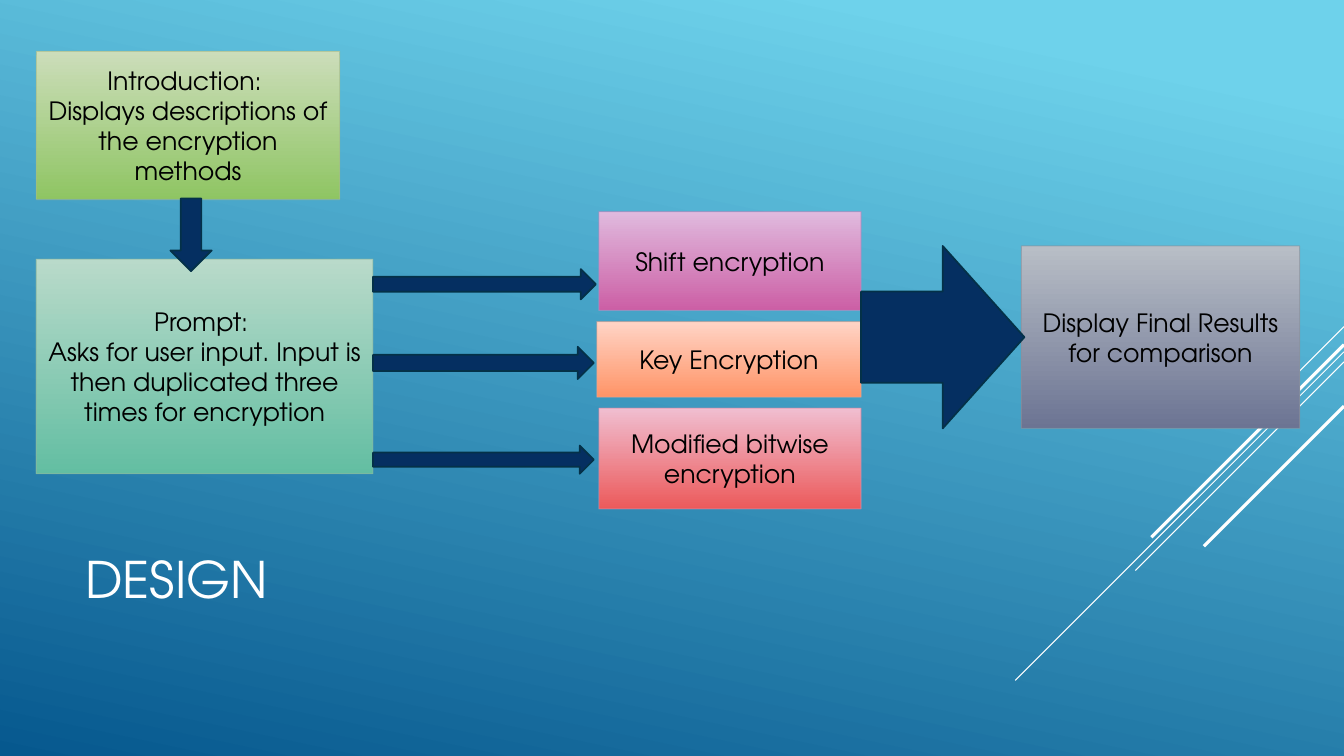
from lxml.etree import SubElement
from pptx import Presentation
from pptx.dml.color import RGBColor
from pptx.enum.shapes import MSO_CONNECTOR as Connector, MSO_SHAPE as Shape
from pptx.enum.text import MSO_ANCHOR as Anchor, PP_ALIGN as Align
from pptx.oxml.ns import qn
from pptx.util import Inches, Pt


def color(value):
    """Turn a hex string into a colour."""
    return RGBColor.from_string(value)


class FlowSlide:
    """Hold the style and the current slide of the encryption flow."""

    font = "TeX Gyre Adventor"
    ink, white = "000000", "FFFFFF"
    arrow_fill, arrow_edge = "052F61", "043148"

    def __init__(self, deck):
        self.slide = deck.slides.add_slide(deck.slide_layouts[6])
        self.shapes = self.slide.shapes

    def gradient(self, fill, start, end, clockwise=90, first=0):
        """Fill with two colours along a clockwise angle."""
        fill.gradient()
        fill.gradient_angle = 360 - clockwise
        for stop, value, position in zip(fill.gradient_stops, (start, end), (first, 1)):
            stop.color.rgb = color(value)
            stop.position = position

    def background(self, start, end, clockwise, first):
        """Paint the slide background."""
        self.gradient(self.slide.background.fill, start, end, clockwise, first)

    def label(self, frame, text, size, ink, align):
        """Set and format wrapped, vertically centred text."""
        frame.text = text
        frame.word_wrap = True
        frame.vertical_anchor = Anchor.MIDDLE
        for paragraph in frame.paragraphs:
            paragraph.alignment = align
            for run in paragraph.runs:
                run.font.name = self.font
                run.font.size = Pt(size)
                run.font.color.rgb = color(ink)

    def title(self, text, *place):
        """Add the slide title."""
        box = self.shapes.add_textbox(*map(Inches, place))
        self.label(box.text_frame, text, 36, self.white, Align.LEFT)

    def outlined(self, preset, place, edge, width):
        """Add a preset shape with a plain outline and no shadow."""
        shape = self.shapes.add_shape(preset, *map(Inches, place))
        shape.shadow.inherit = False
        shape.line.color.rgb = color(edge)
        shape.line.width = Pt(width)
        return shape

    def step(self, text, place, start, end, edge):
        """Add a gradient box for one step of the flow."""
        box = self.outlined(Shape.RECTANGLE, place, edge, 0.75)
        self.gradient(box.fill, start, end)
        outline = box._element.spPr.find(qn("a:ln"))
        edge_color = outline.find(".//" + qn("a:srgbClr"))
        SubElement(edge_color, qn("a:alpha"), val="60000")
        self.label(box.text_frame, text, 18, self.ink, Align.CENTER)

    def arrow(self, preset, *place):
        """Add a block arrow."""
        arrow = self.outlined(preset, place, self.arrow_edge, 1.25)
        arrow.fill.solid()
        arrow.fill.fore_color.rgb = color(self.arrow_fill)

    def ray(self, right, top, run, width):
        """Add a diagonal line falling to the left at 45 degrees."""
        ends = (right, top, right - run, top + run)
        line = self.shapes.add_connector(Connector.STRAIGHT, *map(Inches, ends))
        line.line.color.rgb = color(self.white)
        line.line.width = Pt(width)
        SubElement(line._element.spPr, qn("a:effectLst"))


deck = Presentation()
deck.slide_width, deck.slide_height = Inches(13.33), Inches(7.5)
design = FlowSlide(deck)
design.background("6ED2EB", "06588E", 102, 0.1)

rays = [(3.24, 1, 0.75), (3.49, 3.26, 0.75), (3.59, 2.07, 0.75), (3.42, 1.91, 2.25), (4.03, 1.39, 2.25)]
for top, run, width in rays:
    design.ray(13.33, top, run, width)

design.title("DESIGN", 0.75, 4.91, 9.33, 1.65)

steps = [
    ("Introduction: \nDisplays descriptions of the encryption methods",
     (0.36, 0.51, 3.01, 1.47), "CCDDBA", "8FC563", "A4BB8B"),
    ("Prompt: \nAsks for user input. Input is then duplicated three times for encryption",
     (0.36, 2.57, 3.34, 2.13), "B9DACA", "63BEA2", "8AB7A1"),
    ("Shift encryption", (5.94, 2.1, 2.6, 0.98), "E0BADE", "CC5FA5", "C089BD"),
    ("Key Encryption", (5.92, 3.19, 2.62, 0.75), "FFD4C6", "FF9467", "EEA78F"),
    ("Modified bitwise encryption", (5.94, 4.05, 2.6, 1), "F0BED0", "EC5A5B", "D68BA6"),
    ("Display Final Results for comparison",
     (10.13, 2.44, 2.76, 1.81), "B8BEC6", "6C7493", "89919C"),
]
for step in steps:
    design.step(*step)

design.arrow(Shape.DOWN_ARROW, 1.69, 1.97, 0.41, 0.72)
for top, width, height in [(2.67, 2.21, 0.3), (3.44, 2.19, 0.32), (4.42, 2.19, 0.28)]:
    design.arrow(Shape.RIGHT_ARROW, 3.7, top, width, height)
design.arrow(Shape.RIGHT_ARROW, 8.54, 2.44, 1.62, 1.81)

deck.save("out.pptx")
